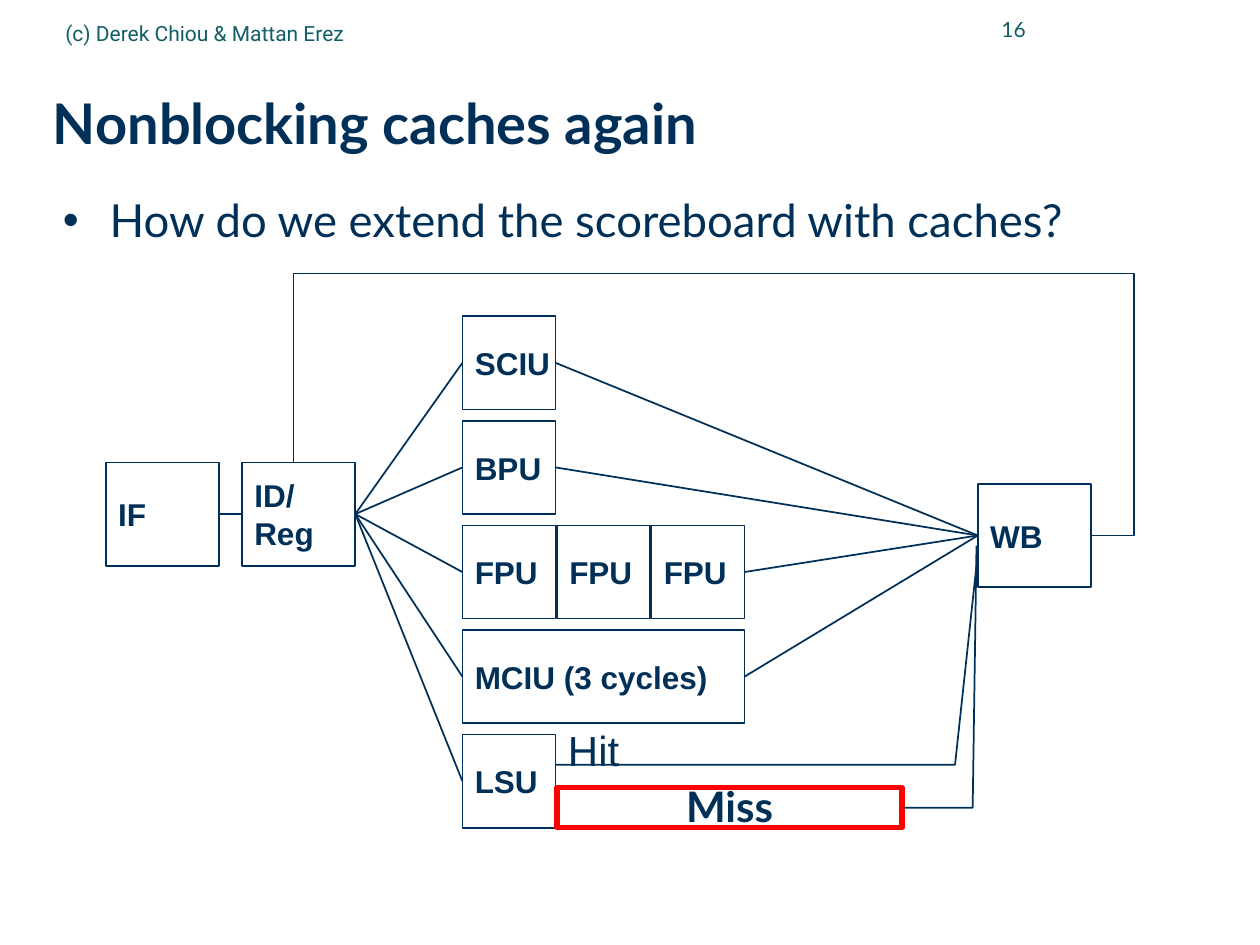
from lxml.etree import SubElement
from pptx import Presentation
from pptx.dml.color import RGBColor
from pptx.enum.shapes import MSO_CONNECTOR as Link, MSO_SHAPE as Shape
from pptx.enum.text import MSO_ANCHOR as Anchor, MSO_AUTO_SIZE as Fit, PP_ALIGN as Align
from pptx.oxml.ns import qn
from pptx.util import Inches, Pt

NAVY, TEAL, RED = "003057", "115E67", "FF0000"
LEFT, TOP = 3.67, 2.51
COL, ROW, SIDE = 0.75, 0.83, 0.74
WIDE, TALL = 0.9, 0.82


def paint(target, color):
    """Set a font or fill color from a hex string."""
    target.rgb = RGBColor.from_string(color)


def stroke(item, color=NAVY, width=1):
    """Give an outline its color and width."""
    paint(item.line.color, color)
    item.line.width = Pt(width)


def write(item, text, size, font="Lato", color=NAVY, bold=False,
          align=Align.LEFT, inset=(0, 0), wrap=True, anchor=Anchor.MIDDLE):
    """Fill a text frame and format its paragraphs and runs."""
    frame = item.text_frame
    frame.text = text
    frame.word_wrap, frame.auto_size, frame.vertical_anchor = wrap, Fit.NONE, anchor
    frame.margin_left = frame.margin_right = Inches(inset[0])
    frame.margin_top = frame.margin_bottom = Inches(inset[1])
    for para in frame.paragraphs:
        para.alignment = align
        for run in para.runs:
            run.font.name, run.font.size, run.font.bold = font, Pt(size), bold
            paint(run.font.color, color)
    return frame.paragraphs[0]


def label(slide, text, at, size, **style):
    """Add a text box."""
    item = slide.shapes.add_textbox(*map(Inches, at))
    return write(item, text, size, **style)


def box(slide, at, color=NAVY, width=1):
    """Add an unfilled rectangle."""
    item = slide.shapes.add_shape(Shape.RECTANGLE, *map(Inches, at))
    item.shadow.inherit = False
    item.fill.background()
    stroke(item, color, width)
    return item


def stage(slide, text, left, top, width=SIDE, height=SIDE):
    """Add a labelled pipeline stage."""
    item = box(slide, (left, top, width, height))
    write(item, text, 18, font="Arial", bold=True, inset=(0.1, 0.05), wrap=False)
    return item


def unit(slide, text, row, col=0, span=1):
    """Add a functional unit on the grid."""
    width = SIDE + (span - 1) * COL
    return stage(slide, text, LEFT + col * COL, TOP + row * ROW, width)


def join(slide, start, end):
    """Link the right side of one stage to the left side of another."""
    line = slide.shapes.add_connector(Link.STRAIGHT, 0, 0, 0, 0)
    line.begin_connect(start, 3)
    line.end_connect(end, 1)
    stroke(line)
    SubElement(line._element.spPr, qn("a:effectLst"))


def route(slide, *points):
    """Draw an open bent path through the points."""
    first, *rest = [(Inches(x), Inches(y)) for x, y in points]
    pen = slide.shapes.build_freeform(*first)
    pen.add_line_segments(rest, close=False)
    item = pen.convert_to_shape()
    item.shadow.inherit = False
    item.fill.background()
    stroke(item)


def bullet(para):
    """Give a paragraph a hanging bullet."""
    props = para._p.get_or_add_pPr()
    props.set("marL", str(Inches(0.37)))
    props.set("indent", str(-Inches(0.37)))
    SubElement(props, qn("a:buFont")).set("typeface", "Arial")
    SubElement(props, qn("a:buChar")).set("char", "•")


def head(slide):
    """Place the title, header texts and bullet."""
    title = slide.shapes.title
    title.left, title.top, title.width, title.height = map(Inches, (0.42, 0.5, 9.41, 0.98))
    write(title, "Nonblocking caches again", 32, bold=True).line_spacing = 0.99
    para = label(slide, "How do we extend the scoreboard with caches?",
                 (0.5, 1.57, 9.33, 0.5), 26, anchor=Anchor.TOP)
    para.line_spacing, para.space_before = 0.9, Pt(6.5)
    bullet(para)
    label(slide, "16", (7.33, -0.02, 0.91, 0.5), 12, color=TEAL,
          align=Align.RIGHT, inset=(0.1, 0.05))
    label(slide, "(c) Derek Chiou & Mattan Erez", (0.42, 0.03, 5.67, 0.46), 12,
          font="Roboto", color=TEAL, inset=(0.1, 0.05))


def chart(slide):
    """Draw the pipeline with its units and links."""
    fetch = stage(slide, "IF", 0.84, 3.67, WIDE, TALL)
    decode = stage(slide, "ID/\nReg", 1.92, 3.67, WIDE, TALL)
    back = stage(slide, "WB", 7.76, 3.84, WIDE, TALL)
    scalar = unit(slide, "SCIU", 0)
    branch = unit(slide, "BPU", 1)
    floats = [unit(slide, "FPU", 2, col) for col in range(3)]
    multi = unit(slide, "MCIU (3 cycles)", 3, span=3)
    load = unit(slide, "LSU", 4)

    join(slide, fetch, decode)
    for item in (scalar, branch, floats[0], multi, load):
        join(slide, decode, item)
    for item in (scalar, branch, floats[-1], multi):
        join(slide, item, back)

    route(slide, (8.67, 4.25), (9, 4.25), (9, 2.17), (2.33, 2.17), (2.33, 3.67))
    route(slide, (4.41, 6.07), (7.58, 6.07), (7.75, 4.49))
    label(slide, "Hit", (4.41, 5.74, 0.8, 0.42), 24, font="Arial", inset=(0.1, 0))
    miss = box(slide, (4.42, 6.25, 2.74, 0.32), RED, 3)
    write(miss, "Miss", 24, bold=True, align=Align.CENTER).line_spacing = 0.99
    route(slide, (7.17, 6.41), (7.72, 6.41), (7.75, 4.33))


def main():
    """Build and save the slide."""
    deck = Presentation()
    deck.slide_width, deck.slide_height = Inches(10), Inches(7.5)
    slide = deck.slides.add_slide(deck.slide_layouts[5])
    head(slide)
    chart(slide)
    deck.save("out.pptx")


if __name__ == "__main__":
    main()
